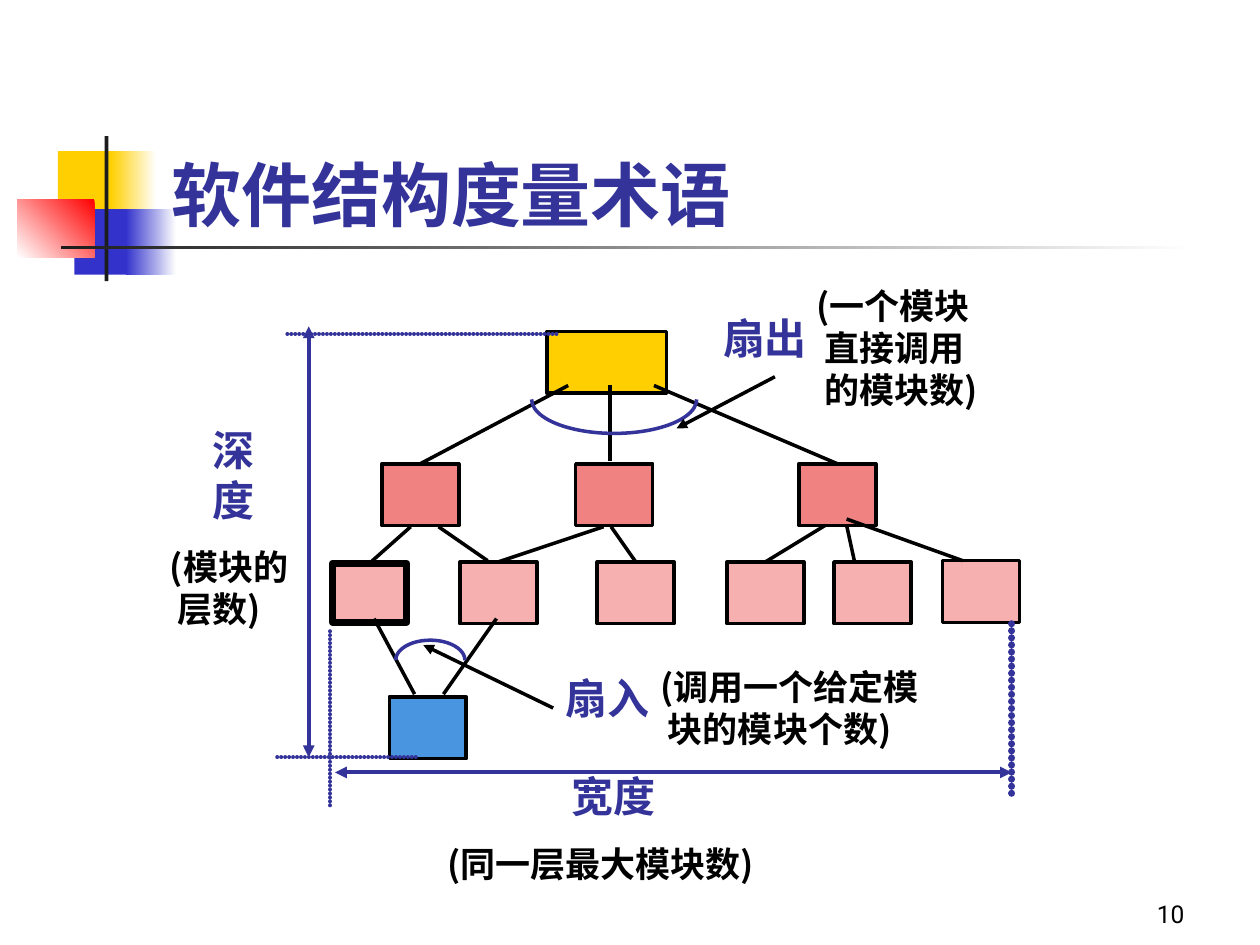
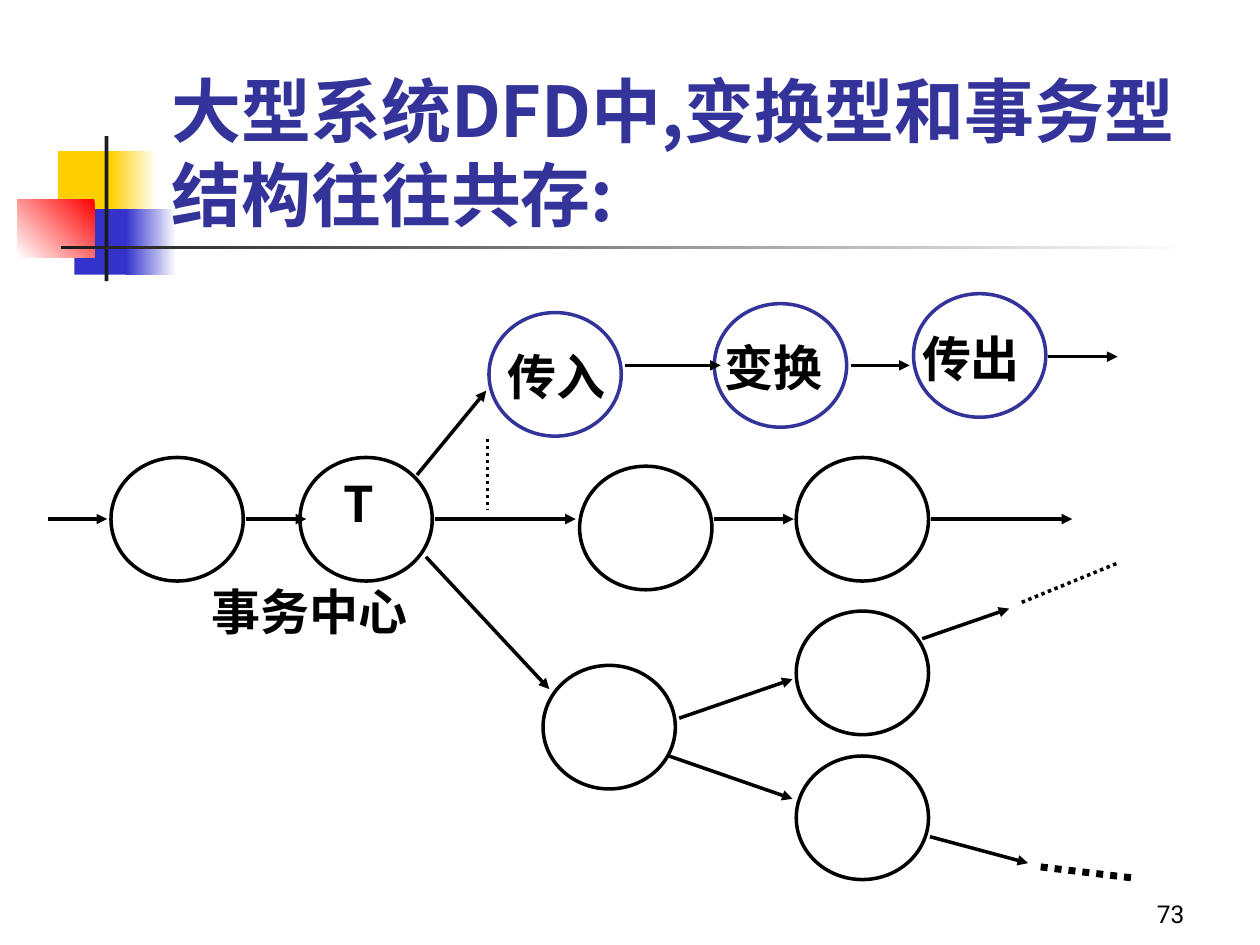
import pptx
import pptx.util
import pptx.dml.color
import pptx.enum.dml
import pptx.enum.shapes
import pptx.enum.text
import pptx.oxml
import pptx.oxml.ns
import lxml.etree

Pt = pptx.util.Pt
SHAPE = pptx.enum.shapes.MSO_SHAPE
ANCHOR = pptx.enum.text.MSO_ANCHOR
ALIGN = pptx.enum.text.PP_ALIGN

CJK, LATIN = "Noto Sans CJK SC", "Roboto"
INDIGO, BLACK, WHITE = "333399", "000000", "FFFFFF"
GOLD, BLUE, RED, CHARCOAL = "FFCF01", "3333CC", "FF0000", "1C1C1C"
CORAL, PINK, SKY = "F08282", "F6B0B0", "4A95E0"

TITLE_BOX = (90.7, 48.2, 613.4, 90)
NUMBER_BOX = (534.2, 498.2, 149.8, 36)
TITLE_FONT = {"size": 40, "color": INDIGO, "bold": True, "name": CJK}
TERM_FONT = {"size": 24, "color": INDIGO, "bold": True, "name": CJK}
NOTE_FONT = {"size": 20, "color": BLACK, "bold": True, "name": CJK}
LABEL_FONT = {"size": 28, "color": BLACK, "bold": True, "name": CJK}
NUMBER_FONT = {"size": 14, "color": BLACK, "bold": False, "name": LATIN}
NOTE_HANG = 4.5

EMBLEM = [
    ((33.1, 86.4, 34.6, 37.4), (GOLD,), 0),
    ((63.4, 86.4, 25.9, 37.4), (WHITE, GOLD), 180),
    ((42.5, 119.5, 33.1, 37.4), (BLUE,), 0),
    ((72, 119.5, 28.8, 37.4), (WHITE, BLUE), 180),
    ((10, 113.8, 44, 33.1), (RED, WHITE), 225),
    ((59.8, 77.8, 2.2, 82.8), (CHARCOAL,), 0),
    ((34.6, 140.4, 648, 2.2), (WHITE, CHARCOAL), 180),
]

METRICS = {"title": "软件结构度量术语", "number": "10"}
MODULE_SIZE = (44, 35.3)
MODULES = {
    "root": ((312.5, 189.4, 68.4, 35.3), GOLD, 2),
    "left": ((218.2, 265, *MODULE_SIZE), CORAL, 2),
    "middle": ((329, 265, *MODULE_SIZE), CORAL, 2),
    "right": ((456.5, 265, *MODULE_SIZE), CORAL, 2),
    "leaf 1": ((190, 321.8, 42.5, 33.8), PINK, 4),
    "leaf 2": ((262.8, 321.1, *MODULE_SIZE), PINK, 2),
    "leaf 3": ((341.3, 321.1, *MODULE_SIZE), PINK, 2),
    "leaf 4": ((415.4, 321.1, *MODULE_SIZE), PINK, 2),
    "leaf 5": ((476.6, 321.1, *MODULE_SIZE), PINK, 2),
    "leaf 6": ((538.6, 320.4, *MODULE_SIZE), PINK, 2),
    "shared": ((222.5, 398.2, *MODULE_SIZE), SKY, 2),
}
CALLS = [
    ((348.5, 220.3), (348.5, 263.5)),
    ((373.7, 220.3), "right"),
    ((324.7, 220.3), "left"),
    ((234.7, 301), "leaf 1"),
    ((250.6, 301), (278.6, 320.4)),
    ((344.9, 301), "leaf 2"),
    ((349.2, 301), "leaf 3"),
    ((283.7, 353.5), (253.4, 396.7)),
    ((213.8, 353.5), (236.9, 396.7)),
    ((471.6, 300.2), "leaf 4"),
    ((483.8, 300.2), (488.2, 320.4)),
    ((483.8, 296.6), (550.1, 320.4)),
]
EXTENT_LIMITS = [
    ((164.2, 190.8), (319.7, 190.8), 2.25),
    ((158.4, 432.7), (237.6, 432.7), 2.25),
    ((188.6, 360.7), (188.6, 461.5), 2.25),
    ((578.2, 356.4), (578.2, 457.2), 4),
]
EXTENTS = [((191.5, 441.4), (578.2, 441.4)), ((176.4, 432.7), (176.4, 186.5))]
FAN_ARCS = [((303.8, 208.8, 94.3, 38.9), 0, 180), ((226.1, 365.8, 39.6, 23), 180, 0)]
FAN_POINTERS = [((442.8, 215.3), (386.6, 244.8)), ((316.1, 404.6), (241.9, 368.6))]
TERMS = [
    ((114.5, 239, 45.4, 64.8), ["深", "度"]),
    ((319.7, 437, 90.7, 36), ["宽度"]),
    ((406.1, 175, 90.7, 36), ["扇出"]),
    ((316.1, 380.9, 90.7, 36), ["扇入"]),
]
NOTES = [
    ((90, 308.2, 106.6, 55.4), ["(模块的", "层数)"]),
    ((248.4, 478.1, 210, 31.7), ["(同一层最大模块数)"]),
    ((459.4, 159.1, 125, 79.2), ["(一个模块", "直接调用", "的模块数)"]),
    ((370.1, 376.6, 185, 55.4), ["(调用一个给定模", "块的模块个数)"]),
]

COEXIST = {"title": "大型系统DFD中,变换型和事务型结构往往共存:", "number": "73"}
BUBBLE_SIZE = (75.6, 70.6)
BUBBLES = {
    BLACK: [(63.4, 261.4), (171.4, 261.4), (331.2, 266.4), (455, 261.4),
            (310.3, 380.2), (455, 349.2), (455, 432)],
    INDIGO: [(279.4, 178.6), (408.2, 173.5), (522, 167.8)],
}
FLOWS = [
    ((27.4, 296.6), (61.2, 296.6)),
    ((140.4, 296.6), (175, 296.6)),
    ((248.4, 296.6), (329, 296.6)),
    ((408.2, 296.6), (453.6, 296.6)),
    ((532.1, 296.6), (612.7, 296.6)),
    ((388.1, 410.4), (452.9, 388.1)),
    ((382.3, 432), (452.9, 456.5)),
    ((531.4, 478.1), (587.5, 493.2)),
    ((527, 365), (576.7, 347.8)),
    ((243.4, 318.2), (313.9, 393.8)),
    ((238.3, 271.4), (277.9, 223.2)),
    ((357.1, 208.8), (411.8, 208.8)),
    ((486, 208.8), (519.8, 208.8)),
    ((599, 203.8), (638.6, 203.8)),
]
CONTINUATIONS = [
    ((583.9, 344.2), (638.6, 321.8), 2),
    ((594.7, 495.4), (648, 501.8), 4),
    ((278.6, 250.6), (278.6, 290.9), 2),
]
BUBBLE_LABELS = [
    ((189.4, 267.1, 40, 40.3), ["T"]),
    ((113.8, 329, 180, 40.3), ["事务中心"]),
    ((283, 194.4, 78.5, 40.3), ["传入"]),
    ((406.8, 189.4, 78.5, 40.3), ["变换"]),
    ((519.8, 184.3, 78.5, 40.3), ["传出"]),
]


def rgb(hex_color):
    return pptx.dml.color.RGBColor.from_string(hex_color)


def set_format(target, values):
    for name, value in values.items():
        setattr(target, name, value)


def add_xml(parent, tag, **attributes):
    child = lxml.etree.SubElement(parent, pptx.oxml.ns.qn(tag))
    for name, value in attributes.items():
        child.set(name, str(value))
    return child


def write_text(frame, lines, font, anchor=ANCHOR.TOP, align=ALIGN.LEFT, hang=0):
    set_format(frame, {
        "word_wrap": True, "vertical_anchor": anchor,
        "auto_size": pptx.enum.text.MSO_AUTO_SIZE.NONE,
        "margin_left": Pt(7.2), "margin_right": Pt(7.2),
        "margin_top": Pt(3.6), "margin_bottom": Pt(3.6),
    })
    for index, line in enumerate(lines):
        paragraph = frame.paragraphs[0] if index == 0 else frame.add_paragraph()
        set_format(paragraph, {"alignment": align, "line_spacing": Pt(font["size"] * 1.2)})
        if index and hang:
            paragraph._p.get_or_add_pPr().set("marL", str(int(Pt(hang))))
        run = paragraph.add_run()
        run.text = line
        set_format(run.font, {"size": Pt(font["size"]), "bold": font["bold"], "name": font["name"]})
        run.font.color.rgb = rgb(font["color"])
        add_xml(run._r.get_or_add_rPr(), "a:ea", typeface=font["name"])


def add_label(slide, box, lines, font, **layout):
    label = slide.shapes.add_textbox(*map(Pt, box))
    write_text(label.text_frame, lines, font, **layout)


def add_figure(slide, kind, box, colors=(), angle=0, outline=None, weight=2):
    figure = slide.shapes.add_shape(kind, *map(Pt, box))
    figure.shadow.inherit = False
    if len(colors) == 2:
        figure.fill.gradient()
        figure.fill.gradient_angle = angle
        for stop, color in zip(figure.fill.gradient_stops, colors):
            stop.color.rgb = rgb(color)
    elif colors:
        figure.fill.solid()
        figure.fill.fore_color.rgb = rgb(colors[0])
    else:
        figure.fill.background()
    if outline:
        figure.line.color.rgb = rgb(outline)
        figure.line.width = Pt(weight)
    else:
        figure.line.fill.background()
    return figure


def add_line(slide, start, end, color=BLACK, weight=2, arrows=(), dash=None, beaded=False):
    line = slide.shapes.add_connector(
        pptx.enum.shapes.MSO_CONNECTOR.STRAIGHT, *map(Pt, start + end))
    line.line.color.rgb = rgb(color)
    line.line.width = Pt(weight)
    outline = line.line._get_or_add_ln()
    if dash:
        line.line.dash_style = dash
    if beaded:
        outline.set("cap", "rnd")
        add_xml(add_xml(outline, "a:custDash"), "a:ds", d=1000, sp=100000)
    for arrow in arrows:
        add_xml(outline, arrow, type="triangle")
    add_xml(line._element.spPr, "a:effectLst")
    return line


def add_slide(deck, content):
    slide = deck.slides.add_slide(deck.slide_layouts[5])
    for box, colors, angle in EMBLEM:
        add_figure(slide, SHAPE.RECTANGLE, box, colors, angle)
    title = slide.shapes.title
    set_format(title, dict(zip(("left", "top", "width", "height"), map(Pt, TITLE_BOX))))
    write_text(title.text_frame, [content["title"]], TITLE_FONT, anchor=ANCHOR.BOTTOM)
    title.element.getparent().append(title.element)
    add_label(slide, NUMBER_BOX, [content["number"]], NUMBER_FONT,
              anchor=ANCHOR.BOTTOM, align=ALIGN.RIGHT)
    return slide


def build_metrics(deck):
    slide = add_slide(deck, METRICS)
    modules = {
        name: add_figure(slide, SHAPE.RECTANGLE, box, (color,), outline=BLACK, weight=weight)
        for name, (box, color, weight) in MODULES.items()
    }
    for start, callee in CALLS:
        if callee in modules:
            add_line(slide, start, start).end_connect(modules[callee], 0)
        else:
            add_line(slide, start, callee)
    for start, end, weight in EXTENT_LIMITS:
        add_line(slide, start, end, INDIGO, weight, beaded=True)
    for start, end in EXTENTS:
        add_line(slide, start, end, INDIGO, 2.25, arrows=("a:headEnd", "a:tailEnd"))
    for box, *angles in FAN_ARCS:
        arc = add_figure(slide, SHAPE.ARC, box, outline=INDIGO)
        for index, angle in enumerate(angles):
            arc.adjustments[index] = angle * 0.6
    for start, end in FAN_POINTERS:
        add_line(slide, start, end, arrows=("a:tailEnd",))
    for box, lines in TERMS:
        add_label(slide, box, lines, TERM_FONT)
    for box, lines in NOTES:
        add_label(slide, box, lines, NOTE_FONT, hang=NOTE_HANG)


def build_coexistence(deck):
    slide = add_slide(deck, COEXIST)
    for outline, corners in BUBBLES.items():
        for corner in corners:
            add_figure(slide, SHAPE.OVAL, corner + BUBBLE_SIZE, (WHITE,), outline=outline)
    for start, end in FLOWS:
        add_line(slide, start, end, arrows=("a:tailEnd",))
    for start, end, weight in CONTINUATIONS:
        add_line(slide, start, end, weight=weight,
                 dash=pptx.enum.dml.MSO_LINE.ROUND_DOT)
    for box, lines in BUBBLE_LABELS:
        add_label(slide, box, lines, LABEL_FONT)


def main():
    deck = pptx.Presentation()
    set_format(deck, {"slide_width": Pt(720), "slide_height": Pt(540)})
    build_metrics(deck)
    build_coexistence(deck)
    deck.save("out.pptx")


if __name__ == "__main__":
    main()
